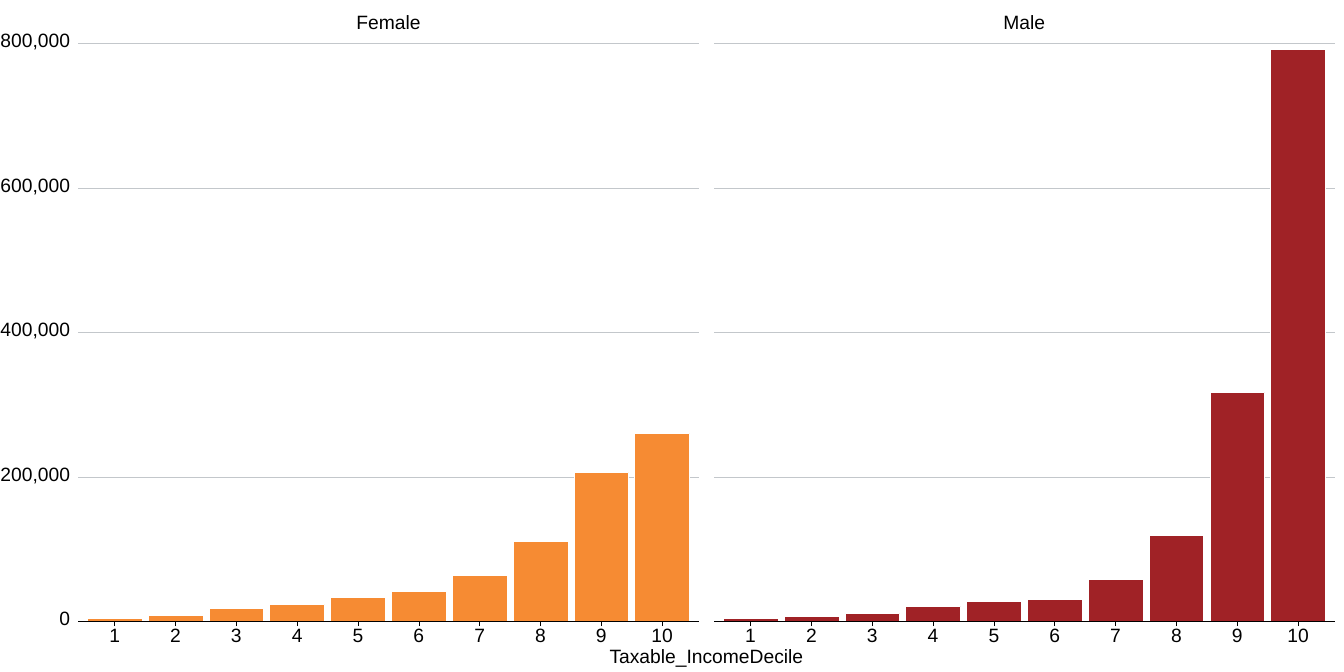
from lxml.etree import SubElement
from pptx import Presentation
from pptx.chart.data import CategoryChartData
from pptx.dml.color import RGBColor
from pptx.enum.chart import XL_CHART_TYPE, XL_TICK_MARK
from pptx.enum.shapes import MSO_CONNECTOR
from pptx.enum.text import MSO_ANCHOR, PP_ALIGN
from pptx.oxml.ns import qn
from pptx.util import Cm, Pt

COLORS = {"text": "000000", "grid": "C3C7CB", "edge": "FFFFFF",
          "Female": "F68B33", "Male": "A02226"}
FONT = "Arial"
AXIS_TITLE = "Taxable_IncomeDecile"
DECILES = [str(n) for n in range(1, 11)]
LEVELS = range(0, 800001, 200000)
PANELS = {
    "Female": (4000, 8000, 18000, 24000, 33000, 42000, 64000, 111000, 207000, 261000),
    "Male": (5000, 7000, 12000, 21000, 28000, 31000, 58000, 119000, 318000, 792000),
}
SLIDE_W, SLIDE_H = 44.32, 22.15
FRAME_TOP, FRAME_H = 1, 20.4
PANEL_X, PANEL_W, PANEL_PITCH = 2.58, 20.46, 20.97
PLOT_W, PLOT_TOP, PLOT_H = 20.06, 1.44, 19.05
PLOT_INSET = (PANEL_W - PLOT_W) / 2
BASE = PLOT_TOP + PLOT_H
TICK = 0.15


def color(name):
    return RGBColor.from_string(COLORS[name])


def add_text(s, text, x, top, width, align=PP_ALIGN.CENTER, height=0.6, size=18, fill="text"):
    tf = s.shapes.add_textbox(Cm(x), Cm(top), Cm(width), Cm(height)).text_frame
    tf.word_wrap = True
    tf.vertical_anchor = MSO_ANCHOR.MIDDLE
    tf.margin_left = tf.margin_right = tf.margin_top = tf.margin_bottom = 0
    p = tf.paragraphs[0]
    p.alignment = align
    p.line_spacing = Pt(18)
    r = p.add_run()
    r.text = text
    r.font.name, r.font.size = FONT, Pt(size)
    r.font.color.rgb = color(fill)


def add_line(s, x1, y1, x2, y2, fill, width=0.56):
    line = s.shapes.add_connector(MSO_CONNECTOR.STRAIGHT, Cm(x1), Cm(y1), Cm(x2), Cm(y2))
    line.line.color.rgb = color(fill)
    line.line.width = Pt(width)
    SubElement(line.element.find(qn("p:spPr")), qn("a:effectLst"))


def clear_fill(parent, before=None):
    sp = SubElement(parent, qn("c:spPr"))
    SubElement(sp, qn("a:noFill"))
    SubElement(SubElement(sp, qn("a:ln")), qn("a:noFill"))
    if before is not None:
        before.addprevious(sp)


def set_plot_layout(chart, x, y, w, h):
    area = chart.element.find(".//" + qn("c:plotArea"))
    for old in area.findall(qn("c:layout")):
        area.remove(old)
    layout = SubElement(area, qn("c:layout"))
    area.insert(0, layout)
    manual = SubElement(layout, qn("c:manualLayout"))
    for tag, val in (("layoutTarget", "inner"), ("xMode", "edge"), ("yMode", "edge"),
                     ("x", x), ("y", y), ("w", w), ("h", h)):
        SubElement(manual, qn("c:" + tag)).set("val", str(val))
    clear_fill(area)
    clear_fill(chart.element, chart.element.find(qn("c:txPr")))


def add_bars(s, name, values, x):
    data = CategoryChartData(number_format="#,##0")
    data.categories = DECILES
    data.add_series(name, values)
    chart = s.shapes.add_chart(XL_CHART_TYPE.COLUMN_CLUSTERED, Cm(x), Cm(FRAME_TOP),
                               Cm(PANEL_W), Cm(FRAME_H), data).chart
    chart.has_title = chart.has_legend = False
    chart.font.name, chart.font.size = FONT, Pt(18)
    chart.font.color.rgb = color("text")
    set_plot_layout(chart, PLOT_INSET / PANEL_W, (PLOT_TOP - FRAME_TOP) / FRAME_H,
                    PLOT_W / PANEL_W, PLOT_H / FRAME_H)

    plot = chart.plots[0]
    plot.gap_width = 11
    plot.vary_by_categories = False
    bars = plot.series[0].format
    bars.fill.solid()
    bars.fill.fore_color.rgb = color(name)
    bars.line.color.rgb = color("edge")
    bars.line.width = Pt(0.56)

    cat, val = chart.category_axis, chart.value_axis
    cat.major_tick_mark = XL_TICK_MARK.NONE
    cat.format.line.fill.background()
    val.minimum_scale, val.maximum_scale = LEVELS[0], LEVELS[-1]
    val.major_unit = LEVELS.step
    val.has_major_gridlines = False
    val.visible = False


def level_y(level):
    return BASE - PLOT_H * level / LEVELS[-1]


def add_panel(s, name, values, x):
    for level in LEVELS:
        add_line(s, x, level_y(level), x + PANEL_W, level_y(level), "grid")
    add_bars(s, name, values, x)
    add_line(s, x, BASE, x + PANEL_W, BASE, "text", width=0.75)
    step = PLOT_W / len(DECILES)
    for i in range(len(DECILES)):
        tick_x = x + PLOT_INSET + (i + 0.5) * step
        add_line(s, tick_x, BASE + TICK, tick_x, BASE, "text")
    add_text(s, name, x, 0.48, PANEL_W)


def main():
    prs = Presentation()
    prs.slide_width, prs.slide_height = Cm(SLIDE_W), Cm(SLIDE_H)
    s = prs.slides.add_slide(prs.slide_layouts[6])
    for i, (name, values) in enumerate(PANELS.items()):
        add_panel(s, name, values, PANEL_X + i * PANEL_PITCH)
    for level in LEVELS:
        add_text(s, f"{level:,}", 0, level_y(level) - 0.36, 2.31, align=PP_ALIGN.RIGHT)
    add_text(s, AXIS_TITLE, PANEL_X, 21.39, PANEL_PITCH + PANEL_W)
    prs.save("out.pptx")


if __name__ == "__main__":
    main()
